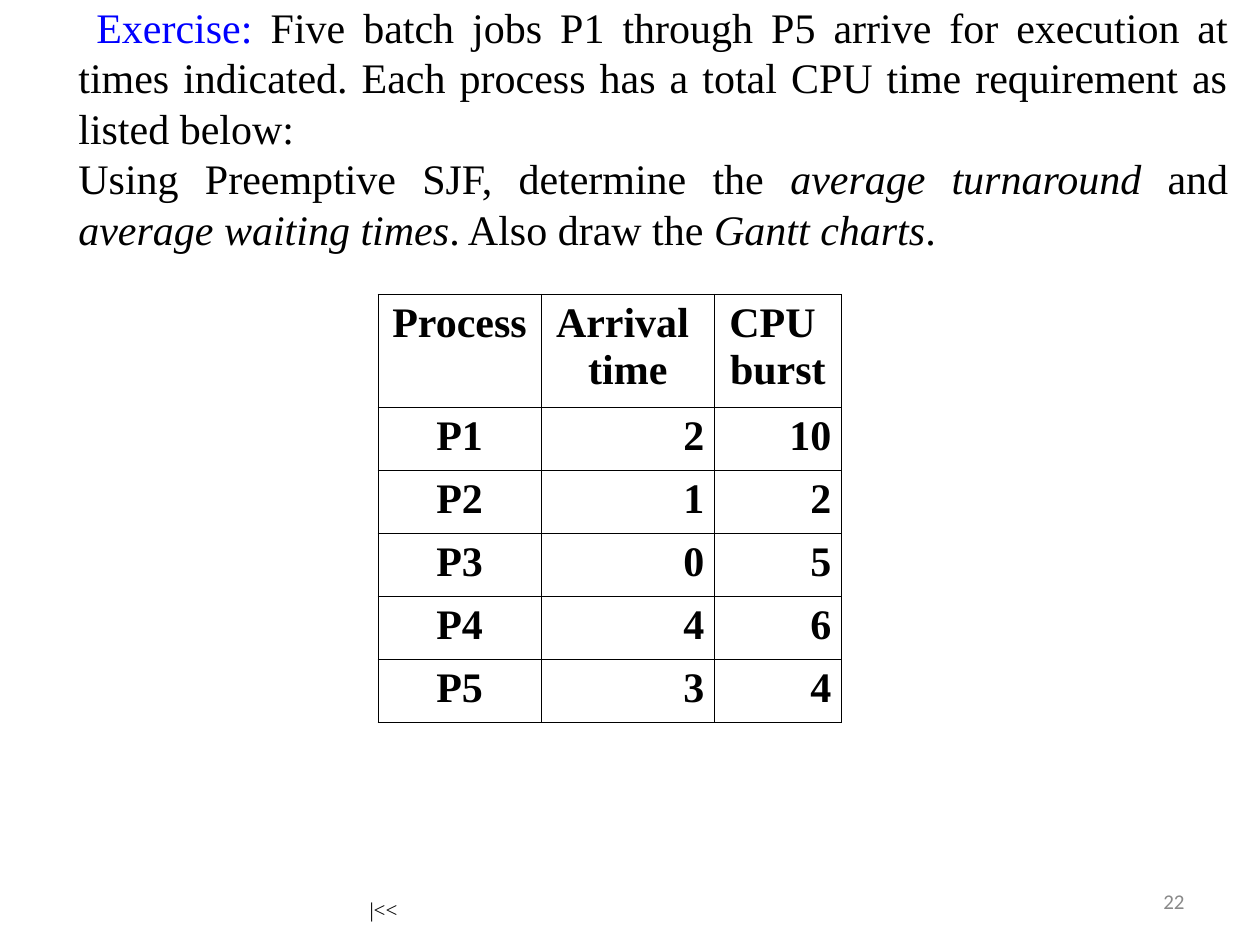
import lxml.etree
import pptx
import pptx.dml.color
import pptx.enum.text
import pptx.oxml
import pptx.oxml.ns
import pptx.util

Cm = pptx.util.Cm
Pt = pptx.util.Pt
ALIGN = pptx.enum.text.PP_ALIGN
ANCHOR = pptx.enum.text.MSO_ANCHOR
AUTO_SIZE = pptx.enum.text.MSO_AUTO_SIZE
SERIF = "Times New Roman"
COLORS = {"text": "000000", "heading": "0000FF", "number": "898989"}

STATEMENT = [
    [
        (" Exercise: ", "heading", False),
        ("Five batch jobs P1 through P5 arrive for execution at times indicated. "
         "Each process has a total CPU time requirement as listed below:", "text", False),
    ],
    [
        ("Using Preemptive SJF, determine the ", "text", False),
        ("average turnaround", "text", True),
        (" and ", "text", False),
        ("average waiting times", "text", True),
        (". Also draw the ", "text", False),
        ("Gantt charts", "text", True),
        (".", "text", False),
    ],
]
JOBS = [
    (["Process"], ["Arrival ", "time"], ["CPU ", "burst"]),
    (["P1"], ["2"], ["10"]),
    (["P2"], ["1"], ["2"]),
    (["P3"], ["0"], ["5"]),
    (["P4"], ["4"], ["6"]),
    (["P5"], ["3"], ["4"]),
]


def add_run(paragraph, text, size, color="text", font=SERIF, bold=False, italic=False):
    """Append one formatted run to a paragraph."""
    run = paragraph.add_run()
    run.text = text
    run.font.name = font
    run.font.size = Pt(size)
    run.font.bold = bold
    run.font.italic = italic
    run.font.color.rgb = pptx.dml.color.RGBColor.from_string(COLORS[color])


def get_paragraph(text_frame, index):
    """Return the first paragraph of a frame or append a further one."""
    return text_frame.add_paragraph() if index else text_frame.paragraphs[0]


def fill_statement(shape, left, top, width, height):
    """Place the exercise wording in the body placeholder."""
    shape.left, shape.top, shape.width, shape.height = left, top, width, height
    frame = shape.text_frame
    frame.word_wrap = True
    frame.auto_size = AUTO_SIZE.NONE
    frame.vertical_anchor = ANCHOR.MIDDLE
    frame.margin_left = Cm(0.64)
    frame.margin_top = frame.margin_right = frame.margin_bottom = 0
    for index, runs in enumerate(STATEMENT):
        paragraph = get_paragraph(frame, index)
        paragraph.alignment = ALIGN.JUSTIFY
        paragraph.space_before = Pt(0)
        paragraph.line_spacing = 1.0
        properties = paragraph._p.get_or_add_pPr()
        properties.set("marL", str(Cm(0.94)))
        properties.set("indent", "0")
        lxml.etree.SubElement(properties, pptx.oxml.ns.qn("a:buNone"))
        for text, color, italic in runs:
            add_run(paragraph, text, 24, color, italic=italic)


def set_borders(cell, width):
    """Draw a thin line on all four sides of a cell."""
    properties = cell._tc.get_or_add_tcPr()
    for side in ("lnL", "lnR", "lnT", "lnB"):
        properties.append(pptx.oxml.parse_xml(
            f'<a:{side} {pptx.oxml.ns.nsdecls("a")} w="{Pt(width)}"><a:solidFill>'
            f'<a:srgbClr val="{COLORS["text"]}"/></a:solidFill></a:{side}>'))


def add_job_table(slide, left, top, widths, header_height, row_height):
    """Add the table of arrival times and CPU bursts."""
    heights = [header_height] + [row_height] * (len(JOBS) - 1)
    table = slide.shapes.add_table(
        len(JOBS), len(widths), left, top, sum(widths), sum(heights)).table
    table.first_row = table.horz_banding = False
    for column, width in zip(table.columns, widths):
        column.width = width
    for row_index, (row, height) in enumerate(zip(JOBS, heights)):
        table.rows[row_index].height = height
        for column_index, lines in enumerate(row):
            cell = table.cell(row_index, column_index)
            cell.margin_left = cell.margin_right = Cm(0.2)
            set_borders(cell, 0.45)
            cell.fill.background()
            for line_index, line in enumerate(lines):
                paragraph = get_paragraph(cell.text_frame, line_index)
                centered = row_index == 0 or column_index == 0
                paragraph.alignment = ALIGN.CENTER if centered else ALIGN.RIGHT
                add_run(paragraph, line, 24, bold=True)


def add_slide_number(slide, left, top, width, height):
    """Add the grey slide number."""
    frame = slide.shapes.add_textbox(left, top, width, height).text_frame
    frame.word_wrap = True
    frame.vertical_anchor = ANCHOR.MIDDLE
    frame.paragraphs[0].alignment = ALIGN.RIGHT
    add_run(frame.paragraphs[0], "22", 12, "number", font="Calibri")


def add_back_mark(slide, left, top, width, height):
    """Add the small navigation mark at the foot of the slide."""
    frame = slide.shapes.add_textbox(left, top, width, height).text_frame
    frame.word_wrap = False
    frame.auto_size = AUTO_SIZE.SHAPE_TO_FIT_TEXT
    paragraph = frame.paragraphs[0]
    paragraph.alignment = ALIGN.JUSTIFY
    paragraph.line_spacing = 1.5
    add_run(paragraph, "|<<", 12)


def main():
    """Build and save the exercise slide."""
    presentation = pptx.Presentation()
    presentation.slide_width, presentation.slide_height = Cm(25.4), Cm(19.05)
    slide = presentation.slides.add_slide(presentation.slide_layouts[1])
    title = slide.shapes.title
    title.element.getparent().remove(title.element)
    fill_statement(slide.placeholders[1], Cm(0), Cm(0.03), Cm(24.76), Cm(5.08))
    add_job_table(slide, Cm(7.62), Cm(5.93), [Cm(3.29), Cm(3.49), Cm(2.56)], Cm(2.28), Cm(1.27))
    add_slide_number(slide, Cm(18.2), Cm(17.66), Cm(5.93), Cm(1.01))
    add_back_mark(slide, Cm(7.2), Cm(17.7), Cm(1.1), Cm(1.02))
    presentation.save("out.pptx")


if __name__ == "__main__":
    main()
